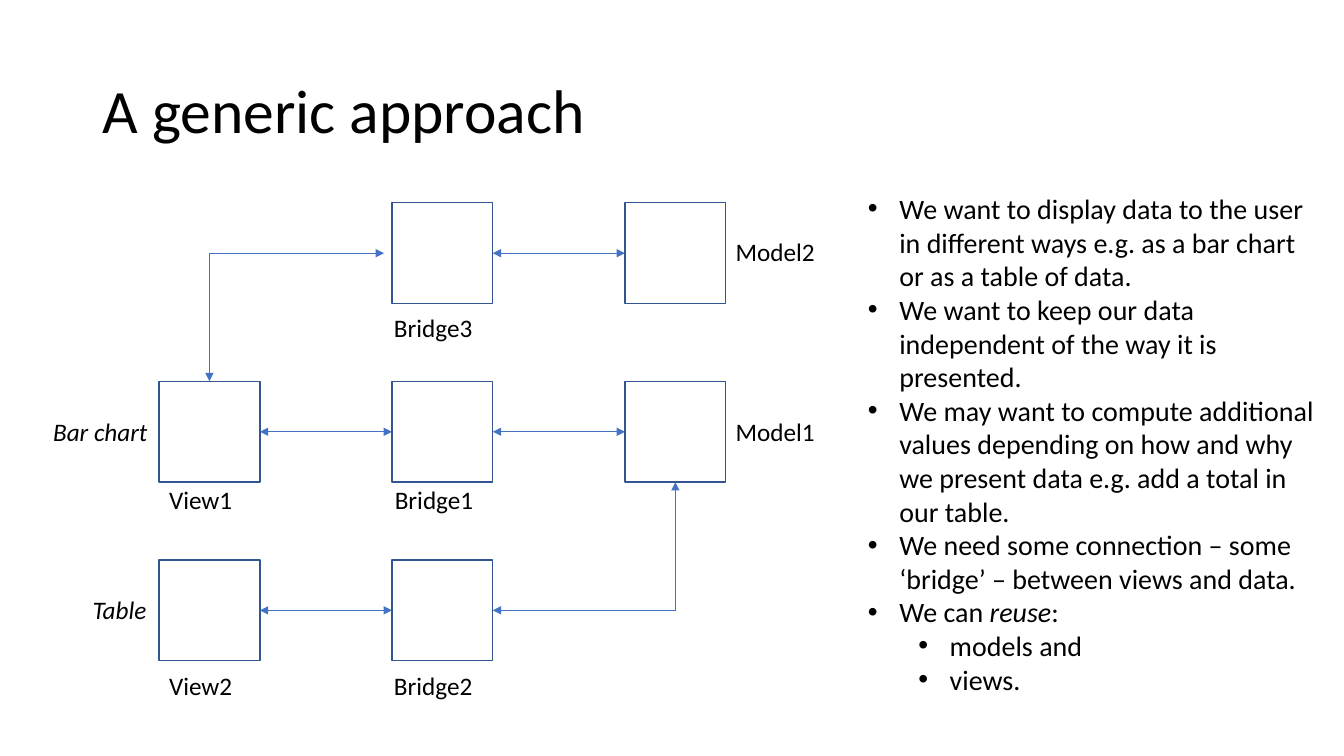
from dataclasses import dataclass

from lxml import etree
from pptx import Presentation
from pptx import util as u
from pptx.dml.color import RGBColor
from pptx.enum import shapes, text
from pptx.oxml.ns import qn


@dataclass(frozen=True)
class Theme:
    """Colours, font and type sizes of the slide."""
    font: str = "Calibri"
    ink: str = "000000"
    outline: str = "325491"
    arrow: str = "4472C4"
    title: int = 44
    body: int = 20
    label: int = 18


class Diagram:
    """Draws styled elements, measured in centimetres, on one slide."""

    def __init__(self, slide, theme):
        self.slide, self.theme = slide, theme

    def add_words(self, paragraph, words, size, italic=False):
        """Add one run to a paragraph."""
        run = paragraph.add_run()
        run.text = words
        run.font.name = self.theme.font
        run.font.size = u.Pt(size)
        run.font.italic = italic
        run.font.color.rgb = RGBColor.from_string(self.theme.ink)

    def place(self, holder, left, top, width, height, anchor):
        """Move a placeholder and return its text frame."""
        holder.left, holder.top = u.Cm(left), u.Cm(top)
        holder.width, holder.height = u.Cm(width), u.Cm(height)
        frame = holder.text_frame
        frame.auto_size = text.MSO_AUTO_SIZE.NONE
        frame.word_wrap = True
        frame.vertical_anchor = anchor
        return frame

    def title(self, words, *area):
        """Fill the title placeholder."""
        frame = self.place(self.slide.shapes.title, *area, text.MSO_ANCHOR.MIDDLE)
        heading = frame.paragraphs[0]
        heading.alignment = text.PP_ALIGN.LEFT
        heading.line_spacing = 0.9
        self.add_words(heading, words, self.theme.title)

    def bullets(self, points, *area):
        """Fill the body placeholder with (level, runs) points."""
        frame = self.place(self.slide.placeholders[1], *area, text.MSO_ANCHOR.TOP)
        for index, (level, runs) in enumerate(points):
            point = frame.add_paragraph() if index else frame.paragraphs[0]
            point.level = level
            props = point._p.get_or_add_pPr()
            props.set("marL", str(u.Cm(0.79 + 1.27 * level)))
            props.set("indent", str(u.Cm(-0.79)))
            etree.SubElement(props, qn("a:buFont")).set("typeface", "Arial")
            etree.SubElement(props, qn("a:buChar")).set("char", "•")
            point.space_before = u.Pt(0)
            for words, italic in runs:
                self.add_words(point, words, self.theme.body, italic)

    def box(self, left, top, side):
        """Draw an outlined square."""
        square = self.slide.shapes.add_shape(
            shapes.MSO_SHAPE.RECTANGLE, u.Cm(left), u.Cm(top), u.Cm(side), u.Cm(side))
        square.shadow.inherit = False
        square.fill.background()
        square.line.color.rgb = RGBColor.from_string(self.theme.outline)
        square.line.width = u.Pt(1)
        return square

    def label(self, words, left, top, width, italic=False, align=text.PP_ALIGN.LEFT):
        """Add a one-line label."""
        area = self.slide.shapes.add_textbox(u.Cm(left), u.Cm(top), u.Cm(width), u.Cm(1.02))
        area.text_frame.word_wrap = False
        area.text_frame.auto_size = text.MSO_AUTO_SIZE.SHAPE_TO_FIT_TEXT
        caption = area.text_frame.paragraphs[0]
        caption.alignment = align
        self.add_words(caption, words, self.theme.label, italic)

    def arrow(self, start, end, sides=(3, 1), bent=False, free_start=None):
        """Join two boxes with a double-headed arrow, optionally from a free point."""
        kind = shapes.MSO_CONNECTOR.ELBOW if bent else shapes.MSO_CONNECTOR.STRAIGHT
        x, y = free_start or (0, 0)
        link = self.slide.shapes.add_connector(kind, u.Cm(x), u.Cm(y), u.Cm(x), u.Cm(y))
        if start is not None:
            link.begin_connect(start, sides[0])
        link.end_connect(end, sides[1])
        link.line.color.rgb = RGBColor.from_string(self.theme.arrow)
        link.line.width = u.Pt(0.5)
        props = link.element.spPr
        if bent:
            props.find(qn("a:prstGeom")).set("prst", "bentConnector2")
        for tip in ("a:headEnd", "a:tailEnd"):
            etree.SubElement(props.find(qn("a:ln")), qn(tip)).set("type", "triangle")
        etree.SubElement(props, qn("a:effectLst"))


POINTS = [
    (0, [("We want to display data to the user in different ways e.g. as a bar chart "
          "or as a table of data.", False)]),
    (0, [("We want to keep our data independent of the way it is presented.", False)]),
    (0, [("We may want to compute additional values depending on how and why we present "
          "data e.g. add a total in our table.", False)]),
    (0, [("We need some connection – some ‘bridge’ – between views and data.", False)]),
    (0, [("We can ", False), ("reuse", True), (":", False)]),
    (1, [("models and", False)]),
    (1, [("views.", False)]),
]
GRID = {
    "View1": (0, 1), "Bridge1": (1, 1), "Model1": (2, 1),
    "View2": (0, 2), "Bridge2": (1, 2),
    "Bridge3": (1, 0), "Model2": (2, 0),
}
LABELS = [
    ("View1", 4.01, 12.09, 2.13), ("Bridge1", 9.7, 12.09, 2.51),
    ("View2", 4.01, 16.76, 2.13), ("Bridge2", 9.68, 16.76, 2.51),
    ("Bridge3", 9.68, 7.75, 2.51),
    ("Model1", 18.29, 10.36, 2.54), ("Model2", 18.29, 5.84, 2.54),
]
ROLES = [("Bar chart", 1.07, 10.36, 2.9), ("Table", 2.06, 14.86, 1.88)]
STRAIGHT = [("View1", "Bridge1"), ("Bridge1", "Model1"),
            ("View2", "Bridge2"), ("Bridge3", "Model2")]


def main():
    """Build and save the slide."""
    deck = Presentation()
    deck.slide_width, deck.slide_height = u.Cm(33.87), u.Cm(19.05)
    diagram = Diagram(deck.slides.add_slide(deck.slide_layouts[1]), Theme())

    diagram.title("A generic approach", 2.33, 1.01, 29.21, 3.68)
    diagram.bullets(POINTS, 21.62, 4.7, 11.84, 13.08)
    parts = {name: diagram.box(4.01 + 5.87 * column, 5.11 + 4.5 * row, 2.54)
             for name, (column, row) in GRID.items()}
    for start, end in STRAIGHT:
        diagram.arrow(parts[start], parts[end])
    diagram.arrow(parts["Bridge2"], parts["Model1"], sides=(3, 2), bent=True)
    diagram.arrow(None, parts["View1"], sides=(3, 0), bent=True, free_start=(9.68, 6.38))
    for label in LABELS:
        diagram.label(*label)
    for role in ROLES:
        diagram.label(*role, italic=True, align=text.PP_ALIGN.RIGHT)
    deck.save("out.pptx")


if __name__ == "__main__":
    main()
